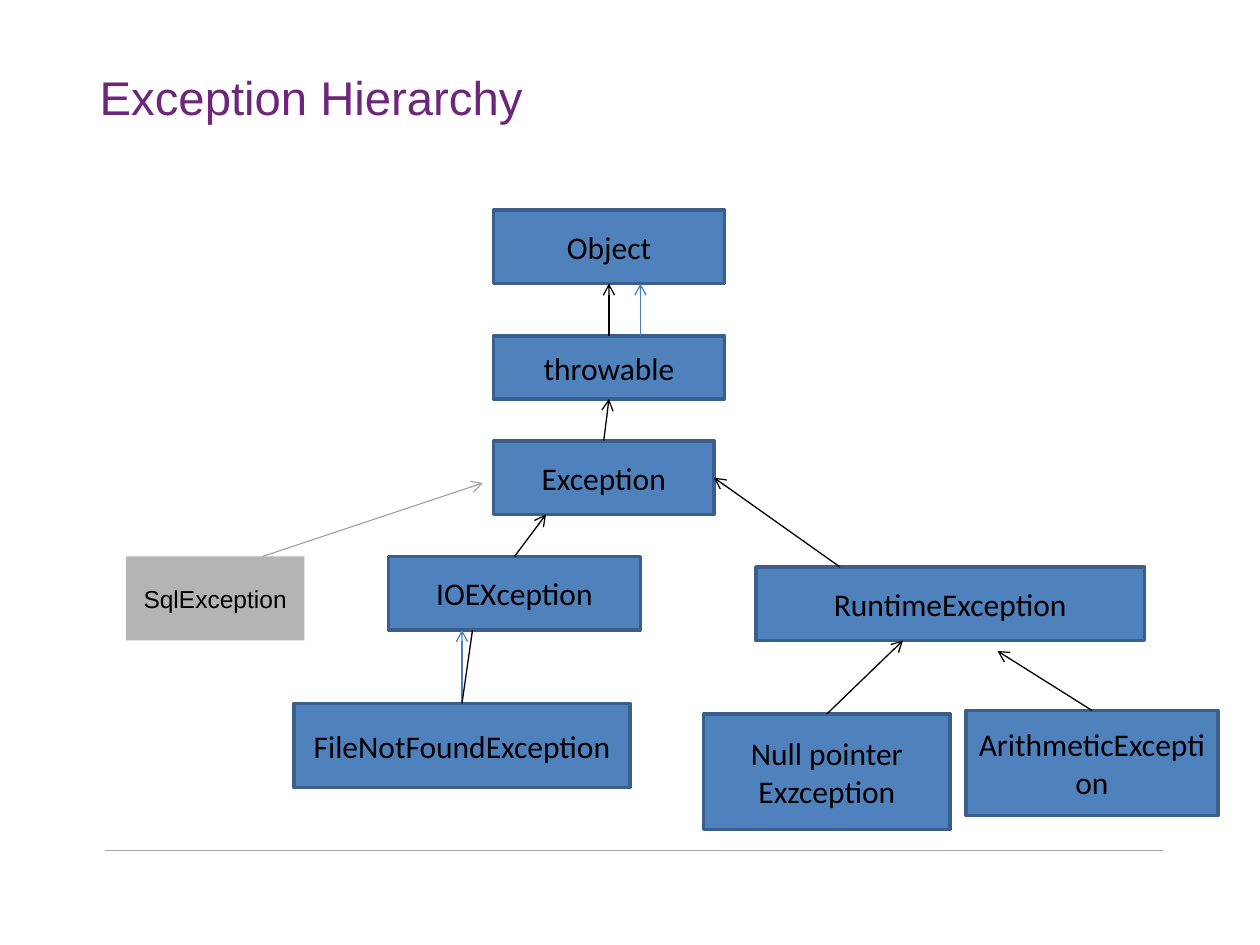
from lxml.etree import SubElement
from pptx import Presentation
from pptx.dml.color import RGBColor
from pptx.enum.shapes import MSO_CONNECTOR, MSO_SHAPE
from pptx.enum.text import MSO_ANCHOR, PP_ALIGN
from pptx.oxml.ns import qn
from pptx.util import Pt

PURPLE = RGBColor(0x6E, 0x26, 0x7B)
BLUE = RGBColor(0x4F, 0x81, 0xBD)
BORDER = RGBColor(0x3A, 0x5F, 0x8C)
ARROW_BLUE = RGBColor(0x4B, 0x7E, 0xBC)
BLACK = RGBColor(0, 0, 0)
GRAY = RGBColor(0xB4, 0xB4, 0xB4)
RULE_GRAY = RGBColor(0xA6, 0xA6, 0xA6)
TOP, BOTTOM, RIGHT = 0, 2, 3

TITLE = "Exception Hierarchy"
CLASSES = [
    ("Object", 282, 120, 132, 42),
    ("throwable", 282, 192, 132, 36),
    ("Exception", 282, 252, 126, 42),
    ("IOEXception", 222, 318, 144, 42),
    ("FileNotFoundException", 168, 402, 192, 48),
    ("RuntimeException", 432, 324, 222, 42),
    ("ArithmeticException", 552, 406, 144, 60),
    ("Null pointer Exzception", 402, 408, 141, 66),
]
SQL_CLASS = ("SqlException", 72, 318, 102, 48)

LINKS = [
    (("FileNotFoundException", TOP), (264, 360), ARROW_BLUE, True),
    (("FileNotFoundException", TOP), (270, 360), BLACK, False),
    (("IOEXception", TOP), (312, 294), BLACK, True),
    (("Exception", TOP), ("throwable", BOTTOM), BLACK, True),
    ((366, 192), (366, 162), ARROW_BLUE, True),
    (("throwable", TOP), ("Object", BOTTOM), BLACK, True),
    ((480, 324), ("Exception", RIGHT), BLACK, True),
    (("Null pointer Exzception", TOP), (516, 366), BLACK, True),
    (("ArithmeticException", TOP), (570, 372), BLACK, True),
    ((150, 318), (276, 276), RULE_GRAY, True),
    ((60, 486), (664.5, 486), RULE_GRAY, False),
]


def add_run(paragraph, text, font, size, color):
    run = paragraph.add_run()
    run.text = text
    run.font.name = font
    run.font.size = Pt(size)
    run.font.color.rgb = color


def add_class(slide, name, left, top, width, height, fill, border, font, size):
    box = slide.shapes.add_shape(
        MSO_SHAPE.RECTANGLE, Pt(left), Pt(top), Pt(width), Pt(height))
    box.shadow.inherit = False
    box.fill.solid()
    box.fill.fore_color.rgb = fill
    if border is None:
        box.line.fill.background()
    else:
        box.line.color.rgb = border
        box.line.width = Pt(2)
    frame = box.text_frame
    frame.word_wrap = True
    frame.vertical_anchor = MSO_ANCHOR.MIDDLE
    paragraph = frame.paragraphs[0]
    paragraph.alignment = PP_ALIGN.CENTER
    add_run(paragraph, name, font, size, BLACK)
    return box


def add_link(slide, boxes, start, end, color, has_head):
    points = [(0, 0) if isinstance(e[0], str) else e for e in (start, end)]
    (x1, y1), (x2, y2) = points
    link = slide.shapes.add_connector(
        MSO_CONNECTOR.STRAIGHT, Pt(x1), Pt(y1), Pt(x2), Pt(y2))
    for (name, site), connect in ((start, link.begin_connect), (end, link.end_connect)):
        if name in boxes:
            connect(boxes[name], site)
    link.line.color.rgb = color
    link.line.width = Pt(0.75)
    if has_head:
        SubElement(link.line._get_or_add_ln(), qn("a:tailEnd"), type="arrow")
    SubElement(link._element.spPr, qn("a:effectLst"))


def add_title(slide):
    frame = slide.shapes.add_textbox(Pt(36), Pt(30), Pt(648), Pt(50)).text_frame
    frame.word_wrap = True
    frame.vertical_anchor = MSO_ANCHOR.MIDDLE
    frame.margin_left = Pt(21)
    add_run(frame.paragraphs[0], TITLE, "Arial", 27, PURPLE)


def main():
    deck = Presentation()
    deck.slide_width, deck.slide_height = Pt(720), Pt(540)
    slide = deck.slides.add_slide(deck.slide_layouts[6])
    add_title(slide)
    boxes = {
        spot[0]: add_class(slide, *spot, BLUE, BORDER, "Calibri", 18)
        for spot in CLASSES
    }
    add_class(slide, *SQL_CLASS, GRAY, None, "Arial", 14)
    for link in LINKS:
        add_link(slide, boxes, *link)
    deck.save("out.pptx")


if __name__ == "__main__":
    main()
